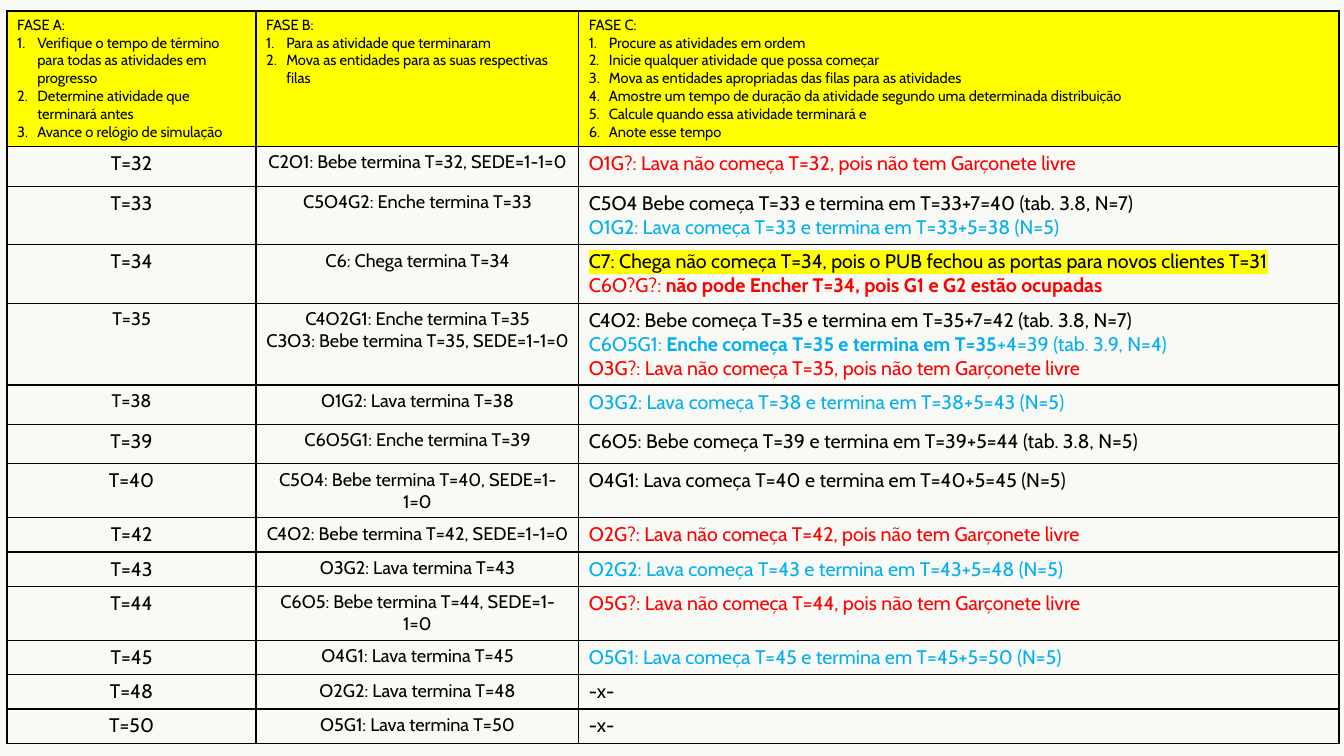
from lxml import etree
from pptx import Presentation
from pptx.dml.color import RGBColor
from pptx.enum.text import PP_ALIGN
from pptx.oxml.ns import qn
from pptx.util import Inches, Pt

CENTER, LEFT = PP_ALIGN.CENTER, PP_ALIGN.LEFT
FONT = "Cabin"
HUES = {"paper": "F9F9F5", "yellow": "FFFF00", "black": "000000",
        "red": "FF0000", "blue": "00B0F0"}
COLS = [2.47, 3.2, 7.54]

# Heading and numbered steps of each phase
PHASES = [
    ("FASE A:", [
        "Verifique o tempo de término para todas as atividades em progresso",
        "Determine atividade que terminará antes",
        "Avance o relógio de simulação"]),
    ("FASE B:", [
        "Para as atividade que terminaram",
        "Mova as entidades para as suas respectivas filas"]),
    ("FASE C:", [
        "Procure as atividades em ordem",
        "Inicie qualquer atividade que possa começar",
        "Mova as entidades apropriadas das filas para as atividades",
        "Amostre um tempo de duração da atividade segundo uma determinada distribuição",
        "Calcule quando essa atividade terminará e",
        "Anote esse tempo"]),
]

# Row height, time, time size, ended activities, started activities.
# Each started line is a hue and its runs; every second run is bold.
EVENTS = [
    (0.4, "T=32", 14, ["C2O1: Bebe termina T=32, SEDE=1-1=0"],
     [("red", "O1G?: Lava não começa T=32, pois não tem Garçonete livre")]),
    (0.58, "T=33", 14, ["C5O4G2: Enche termina T=33"],
     [("black", "C5O4 Bebe começa T=33 e termina em T=33+7=40 (tab. 3.8, N=7)"),
      ("blue", "O1G2: Lava começa T=33 e termina em T=33+5=38 (N=5)")]),
    (0.58, "T=34", 14, ["C6: Chega termina T=34"],
     [("mark", "C7: Chega não começa T=34, pois o PUB fechou as portas "
               "para novos clientes T=31"),
      ("red", "C6O?G?: ", "não pode Encher T=34, pois G1 e G2 estão ocupadas")]),
    (0.81, "T=35", 13,
     ["C4O2G1: Enche termina T=35", "C3O3: Bebe termina T=35, SEDE=1-1=0"],
     [("black", "C4O2: Bebe começa T=35 e termina em T=35+7=42 (tab. 3.8, N=7)"),
      ("blue", "C6O5G1: ", "Enche começa T=35 e termina em T=35",
       "+4=39 (tab. 3.9, N=4)"),
      ("red", "O3G?: Lava não começa T=35, pois não tem Garçonete livre")]),
    (0.39, "T=38", 13, ["O1G2: Lava termina T=38"],
     [("blue", "O3G2: Lava começa T=38 e termina em T=38+5=43 (N=5)")]),
    (0.39, "T=39", 14, ["C6O5G1: Enche termina T=39"],
     [("black", "C6O5: Bebe começa T=39 e termina em T=39+5=44 (tab. 3.8, N=5)")]),
    (0.53, "T=40", 14, ["C5O4: Bebe termina T=40, SEDE=1-1=0"],
     [("black", "O4G1: Lava começa T=40 e termina em T=40+5=45 (N=5)")]),
    (0.34, "T=42", 14, ["C4O2: Bebe termina T=42, SEDE=1-1=0"],
     [("red", "O2G?: Lava não começa T=42, pois não tem Garçonete livre")]),
    (0.34, "T=43", 14, ["O3G2: Lava termina T=43"],
     [("blue", "O2G2: Lava começa T=43 e termina em T=43+5=48 (N=5)")]),
    (0.53, "T=44", 14, ["C6O5: Bebe termina T=44, SEDE=1-1=0"],
     [("red", "O5G?: Lava não começa T=44, pois não tem Garçonete livre")]),
    (0.34, "T=45", 14, ["O4G1: Lava termina T=45"],
     [("blue", "O5G1: Lava começa T=45 e termina em T=45+5=50 (N=5)")]),
    (0.34, "T=48", 14, ["O2G2: Lava termina T=48"], [("black", "-x-")]),
    (0.34, "T=50", 14, ["O5G1: Lava termina T=50"], [("black", "-x-")]),
]


def tint(name):
    return RGBColor.from_string(HUES[name])


def add_hue(parent, name):
    etree.SubElement(parent, qn("a:srgbClr"), val=HUES[name])


def style_cell(cell, fill):
    """Black border on each side, then the fill."""
    props = cell._tc.get_or_add_tcPr()
    for side in ("lnL", "lnR", "lnT", "lnB"):
        line = etree.SubElement(props, qn("a:" + side), w=str(Pt(1)))
        add_hue(etree.SubElement(line, qn("a:solidFill")), "black")
    cell.fill.solid()
    cell.fill.fore_color.rgb = tint(fill)


def add_run(para, text, size, hue="black", bold=False):
    run = para.add_run()
    run.text = text
    font = run.font
    font.name, font.size, font.bold = FONT, Pt(size), bold
    font.color.rgb = tint("black" if hue == "mark" else hue)
    if hue == "mark":
        mark = etree.Element(qn("a:highlight"))
        add_hue(mark, "yellow")
        run._r.get_or_add_rPr().find(qn("a:solidFill")).addnext(mark)


def number(para):
    props = para._p.get_or_add_pPr()
    props.set("marL", str(Inches(0.2)))
    props.set("indent", str(Inches(-0.2)))
    etree.SubElement(props, qn("a:buFont"), typeface="+mj-lt")
    etree.SubElement(props, qn("a:buAutoNum"), type="arabicPeriod")


def fill_text(cell, lines, size, align=LEFT):
    """Write lines of (hue, run, bold run, run...) into a cell."""
    frame = cell.text_frame
    for i, (hue, *runs) in enumerate(lines):
        para = frame.add_paragraph() if i else frame.paragraphs[0]
        para.alignment = align
        for j, text in enumerate(runs):
            add_run(para, text, size, hue, j % 2 == 1)


def add_head(cells):
    for cell, (head, steps) in zip(cells, PHASES):
        style_cell(cell, "yellow")
        fill_text(cell, [("black", text) for text in [head, *steps]], 10.5)
        for para in cell.text_frame.paragraphs[1:]:
            number(para)


def add_event(cells, time, size, ends, starts):
    for cell in cells:
        style_cell(cell, "paper")
    fill_text(cells[0], [("black", time)], size, CENTER)
    fill_text(cells[1], [("black", text) for text in ends], 13, CENTER)
    fill_text(cells[2], starts, 14)


def add_log(slide, left, top):
    """Simulation table: phase header, then one row per time step."""
    highs = [1.34] + [event[0] for event in EVENTS]
    frame = slide.shapes.add_table(
        len(highs), len(COLS), Inches(left), Inches(top),
        Inches(sum(COLS)), Inches(sum(highs)))
    table = frame.table
    table.first_row = table.horz_banding = False
    for col, wide in zip(table.columns, COLS):
        col.width = Inches(wide)
    for row, high in zip(table.rows, highs):
        row.height = Inches(high)
    head, *rows = [list(row.cells) for row in table.rows]
    add_head(head)
    for cells, event in zip(rows, EVENTS):
        add_event(cells, *event[1:])


def main():
    deck = Presentation()
    deck.slide_width, deck.slide_height = Inches(13.33), Inches(7.5)
    slide = deck.slides.add_slide(deck.slide_layouts[6])
    back = slide.background.fill
    back.solid()
    back.fore_color.rgb = tint("paper")
    add_log(slide, 0.07, 0.11)
    deck.save("out.pptx")


if __name__ == "__main__":
    main()
